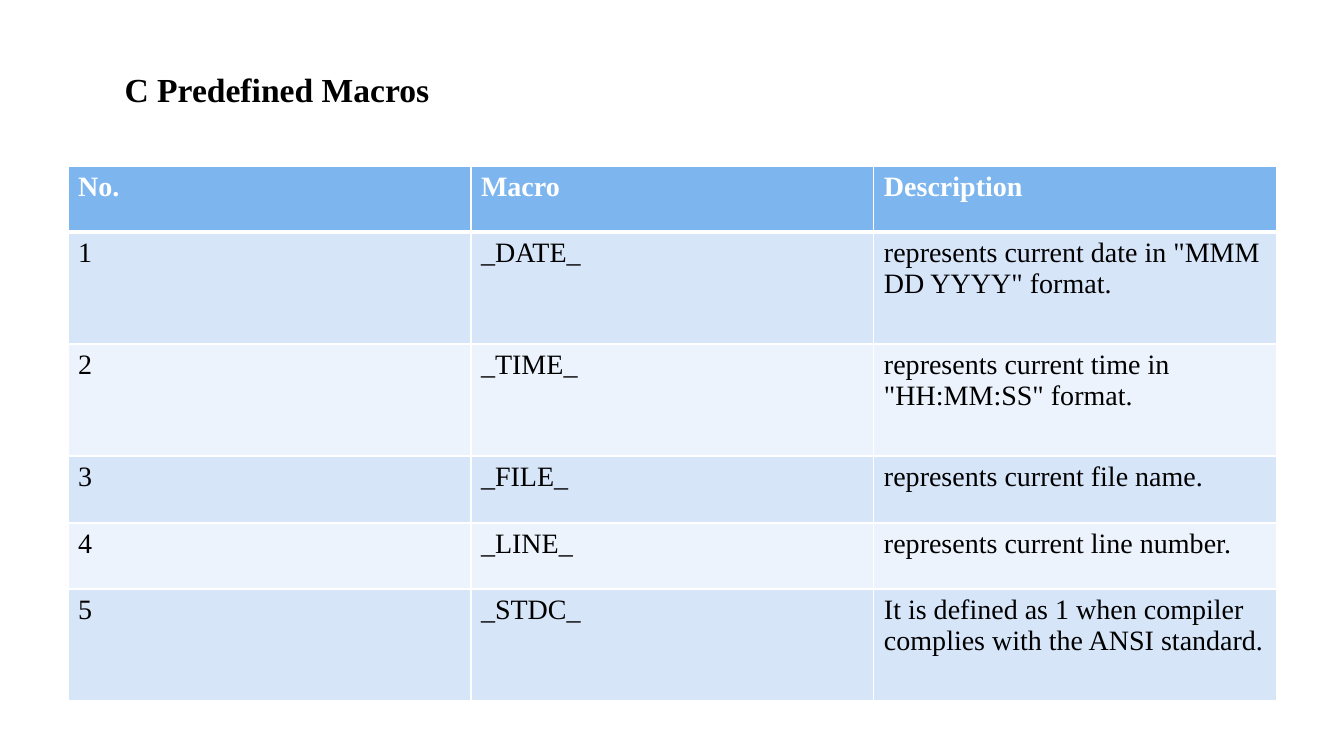
from lxml.etree import SubElement
from pptx import Presentation
from pptx.dml.color import RGBColor
from pptx.enum.text import MSO_ANCHOR, PP_ALIGN
from pptx.oxml.ns import qn
from pptx.util import Pt

EMU_PER_PX = 914400 / 100.8
FONT = "Times New Roman"
WHITE, BLACK = "FFFFFF", "000000"
HEADER_FILL = "7DB6EF"
BAND_FILLS = ("D7E5F9", "ECF3FC")

MACROS = [
    ("No.", "Macro", "Description"),
    ("1", "_DATE_", 'represents current date in "MMM DD YYYY" format.'),
    ("2", "_TIME_", 'represents current time in "HH:MM:SS" format.'),
    ("3", "_FILE_", "represents current file name."),
    ("4", "_LINE_", "represents current line number."),
    ("5", "_STDC_", "It is defined as 1 when compiler complies with the ANSI standard."),
]
ROW_HEIGHTS = (66, 112, 112, 67, 66, 112)


def px(length):
    """Turn pixels into EMU."""
    return round(length * EMU_PER_PX)


def color(hex_code):
    """Turn a hex string into a colour."""
    return RGBColor.from_string(hex_code)


def write(frame, text, size=20, ink=BLACK, bold=False, align=PP_ALIGN.LEFT,
          anchor=MSO_ANCHOR.TOP):
    """Put one formatted paragraph into a text frame."""
    frame.word_wrap = True
    frame.vertical_anchor = anchor
    paragraph = frame.paragraphs[0]
    paragraph.alignment = align
    run = paragraph.add_run()
    run.text = text
    run.font.name = FONT
    run.font.size = Pt(size)
    run.font.bold = bold
    run.font.color.rgb = color(ink)


def draw_borders(cell, top=1, bottom=1):
    """Give a cell white borders, with widths in points."""
    properties = cell._tc.get_or_add_tcPr()
    for side, width in (("L", 1), ("R", 1), ("T", top), ("B", bottom)):
        line = SubElement(properties, qn(f"a:ln{side}"), w=str(Pt(width)))
        SubElement(SubElement(line, qn("a:solidFill")), qn("a:srgbClr"), val=WHITE)


def add_title(slide, left, top, width, height):
    """Add the centred heading."""
    heading = slide.shapes.add_textbox(px(left), px(top), px(width), px(height))
    write(heading.text_frame, "C Predefined Macros", size=24, bold=True,
          align=PP_ALIGN.CENTER, anchor=MSO_ANCHOR.MIDDLE)


def add_macro_table(slide, left, top, width, height):
    """Add the banded table of macros with three equal columns."""
    macros = slide.shapes.add_table(len(MACROS), len(MACROS[0]), px(left), px(top),
                                    px(width), px(height)).table
    for column in macros.columns:
        column.width = px(width / len(MACROS[0]))
    for r, (entries, row_height) in enumerate(zip(MACROS, ROW_HEIGHTS)):
        macros.rows[r].height = px(row_height)
        is_header = r == 0
        for c, entry in enumerate(entries):
            cell = macros.cell(r, c)
            draw_borders(cell, top=3 if r == 1 else 1, bottom=3 if is_header else 1)
            cell.fill.solid()
            cell.fill.fore_color.rgb = color(
                HEADER_FILL if is_header else BAND_FILLS[(r - 1) % 2])
            write(cell.text_frame, entry, ink=WHITE if is_header else BLACK,
                  bold=is_header)


def build_macro_slide(deck):
    """Add the slide of predefined macros."""
    slide = deck.slides.add_slide(deck.slide_layouts[6])
    add_title(slide, 34, 49, 486, 81)
    add_macro_table(slide, 68, 166, 1209, sum(ROW_HEIGHTS))


deck = Presentation()
deck.slide_width, deck.slide_height = px(1344), px(756)
build_macro_slide(deck)
deck.save("out.pptx")
